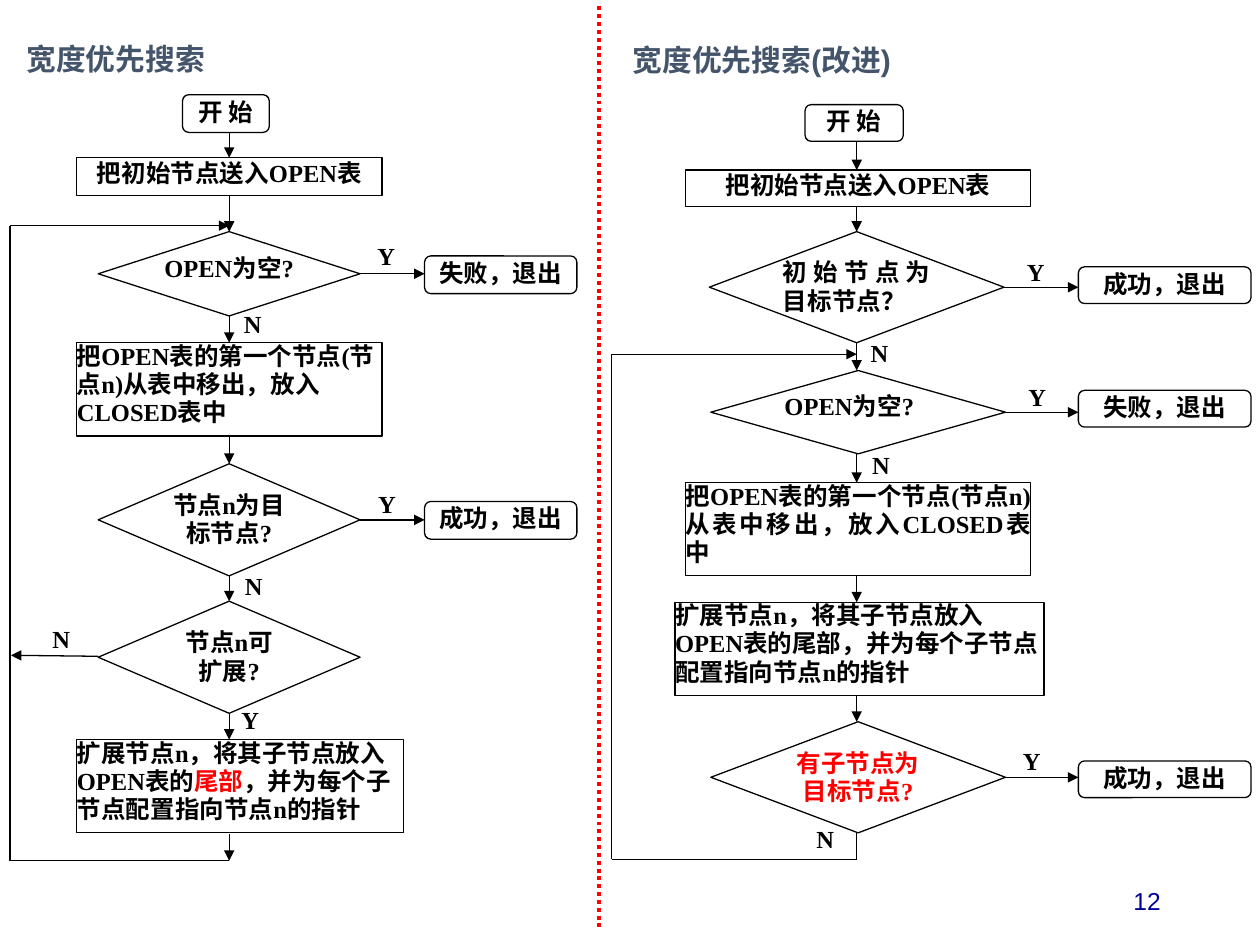
from lxml.etree import SubElement
from pptx import Presentation
from pptx.dml.color import RGBColor
from pptx.enum.dml import MSO_LINE
from pptx.enum.shapes import MSO_CONNECTOR, MSO_SHAPE
from pptx.enum.text import MSO_ANCHOR, MSO_AUTO_SIZE, PP_ALIGN
from pptx.oxml.ns import qn
from pptx.util import Cm, Pt

INK = {"black": "000000", "red": "FF0000", "slate": "44546A", "navy": "000099"}
KIND = {
    "pill": MSO_SHAPE.FLOWCHART_ALTERNATE_PROCESS,
    "round": MSO_SHAPE.ROUNDED_RECTANGLE,
    "box": MSO_SHAPE.RECTANGLE,
    "test": MSO_SHAPE.DIAMOND,
    "choice": MSO_SHAPE.FLOWCHART_DECISION,
}
SIDE = {"l": PP_ALIGN.LEFT, "c": PP_ALIGN.CENTER,
        "r": PP_ALIGN.RIGHT, "j": PP_ALIGN.JUSTIFY}

# Content, in cm. Words between stars are red.
# steps: kind, left, top, width, height, align, text
# exits: index of the step that leads there, kind, top, text
# marks: text, left, top
# wires: points of a path, arrow at its end
LEFT = {
    "axis": 4.62,
    "steps": [
        ("pill", 3.68, 1.91, 1.75, 0.76, "c", "开 始"),
        ("box", 1.55, 3.18, 6.15, 0.76, "c", "把初始节点送入OPEN表"),
        ("test", 1.98, 4.67, 5.28, 1.7, "c", "OPEN为空?"),
        ("box", 1.55, 6.91, 6.15, 1.88, "l",
         "把OPEN表的第一个节点(节点n)从表中移出，放入CLOSED表中"),
        ("test", 1.98, 9.35, 5.28, 2.26, "c", "节点n为目标节点?"),
        ("test", 1.98, 12.12, 5.28, 2.26, "c", "节点n可\n扩展?"),
        ("box", 1.55, 14.91, 6.58, 1.88, "l",
         "扩展节点n，将其子节点放入OPEN表的*尾部*，并为每个子节点配置指向节点n的指针"),
    ],
    "exit": (8.56, 3.07, 0.76),
    "exits": [(2, "pill", 5.16, "失败，退出"), (4, "pill", 10.11, "成功，退出")],
    "mark": (0.43, 0.76, "c"),
    "marks": [("Y", 7.57, 4.85), ("Y", 7.59, 9.86), ("N", 1.02, 12.57),
              ("Y", 4.83, 14.22), ("N", 4.88, 6.22), ("N", 4.9, 11.51)],
    "wires": [
        ([(4.62, 16.81), (4.62, 17.35)], True),
        ([(4.62, 17.35), (0.2, 17.35), (0.2, 4.55), (4.62, 4.55)], True),
        ([(1.98, 13.23), (0.22, 13.21)], True),
    ],
}
RIGHT = {
    "axis": 17.27,
    "steps": [
        ("pill", 16.23, 2.11, 1.98, 0.74, "c", "开 始"),
        ("box", 13.82, 3.43, 6.96, 0.74, "c", "把初始节点送入OPEN表"),
        ("choice", 14.3, 4.67, 5.94, 2.24, "j", "初始节点为目标节点？"),
        ("test", 14.33, 7.47, 5.94, 1.68, "j", "OPEN为空?"),
        ("box", 13.82, 9.73, 6.96, 1.88, "j",
         "把OPEN表的第一个节点(节点n)从表中移出，放入CLOSED表中"),
        ("box", 13.61, 12.14, 7.44, 1.88, "l",
         "扩展节点n，将其子节点放入OPEN表的尾部，并为每个子节点配置指向节点n的指针"),
        ("test", 14.33, 14.55, 5.94, 2.24, "c", "*有子节点为目标节点?*"),
    ],
    "exit": (21.74, 3.48, 0.74),
    "exits": [(2, "round", 5.38, "成功，退出"), (3, "pill", 7.87, "失败，退出"),
              (6, "pill", 15.34, "成功，退出")],
    "mark": (0.49, 0.74, "j"),
    "marks": [("Y", 20.7, 5.18), ("N", 17.55, 6.81), ("Y", 20.73, 7.7),
              ("N", 17.58, 9.07), ("Y", 20.62, 15.04), ("N", 16.46, 16.61)],
    "wires": [
        ([(17.27, 16.79), (17.27, 17.32), (12.33, 17.32),
          (12.33, 7.14), (17.27, 7.14)], True),
    ],
}

deck = Presentation()
deck.slide_width, deck.slide_height = Cm(25.4), Cm(19.05)
slide = deck.slides.add_slide(deck.slide_layouts[5])
shapes = slide.shapes


def place(shape, left, top, width, height):
    shape.left, shape.top = Cm(left), Cm(top)
    shape.width, shape.height = Cm(width), Cm(height)


def write(shape, text, side="c", size=14, face="Times New Roman", ink="black",
          bold=True, pad=(0, 0), mid=False, gap=None):
    frame = shape.text_frame
    frame.word_wrap = True
    frame.auto_size = MSO_AUTO_SIZE.NONE
    frame.margin_left = frame.margin_right = Cm(pad[0])
    frame.margin_top = frame.margin_bottom = Cm(pad[1])
    frame.vertical_anchor = MSO_ANCHOR.MIDDLE if mid else MSO_ANCHOR.TOP
    for row, line in enumerate(text.split("\n")):
        para = frame.add_paragraph() if row else frame.paragraphs[0]
        para.alignment = SIDE[side]
        para.line_spacing = gap
        for turn, part in enumerate(line.split("*")):
            if not part:
                continue
            run = para.add_run()
            run.text = part
            font = run.font
            font.size, font.name, font.bold = Pt(size), face, bold
            font.color.rgb = RGBColor.from_string(INK["red" if turn % 2 else ink])


def node(kind, left, top, width, height, side, text):
    shape = shapes.add_shape(KIND[kind], Cm(left), Cm(top), Cm(width), Cm(height))
    shape.shadow.inherit = False
    shape.fill.background()
    shape.line.color.rgb = RGBColor.from_string(INK["black"])
    shape.line.width = Pt(0.75)
    write(shape, text, side, gap=0.96 if height > 1.8 else None)


def wire(start, end, arrow=False, ink="black", width=0.75):
    line = shapes.add_connector(MSO_CONNECTOR.STRAIGHT, *map(Cm, start + end))
    line.line.color.rgb = RGBColor.from_string(INK[ink])
    line.line.width = Pt(width)
    if arrow:
        SubElement(line.line._get_or_add_ln(), qn("a:tailEnd"), type="triangle")
    SubElement(line._element.spPr, qn("a:effectLst"))
    return line


def label(left, top, width, height, text, side, **style):
    box = shapes.add_textbox(Cm(left), Cm(top), Cm(width), Cm(height))
    write(box, text, side, **style)


def chart(flow):
    steps, axis = flow["steps"], flow["axis"]
    for step in steps:
        node(*step)
    # Arrows down from each step to the next
    for above, below in zip(steps, steps[1:]):
        wire((axis, above[2] + above[4]), (axis, below[2]), True)
    # Exits to the right of the tests
    left, width, height = flow["exit"]
    for index, kind, top, text in flow["exits"]:
        node(kind, left, top, width, height, "c", text)
        _, x, y, w, h, *_ = steps[index]
        wire((x + w, y + h / 2), (left, y + h / 2), True)
    # Loops back
    for points, arrow in flow["wires"]:
        last = len(points) - 2
        for i, (start, end) in enumerate(zip(points, points[1:])):
            wire(start, end, arrow and i == last)
    # Y and N marks
    width, height, side = flow["mark"]
    for text, left, top in flow["marks"]:
        label(left, top, width, height, text, side)


# Titles
head = dict(size=17, face="Arial", ink="slate", pad=(0.25, 0.13), mid=True)
place(shapes.title, 0.28, 0.66, 9.32, 1.14)
write(shapes.title, "宽度优先搜索", "l", gap=0.9, **head)
label(12.5, 0.64, 9.32, 1.14, "宽度优先搜索(改进)", "l", **head)

# Flow charts
for flow in (LEFT, RIGHT):
    chart(flow)

# Divider and page number
wire((12.07, 0.13), (12.07, 18.75), ink="red", width=2.25).line.dash_style = MSO_LINE.ROUND_DOT
label(17.93, 17.65, 5.72, 1.02, "12", "r", face="Arial", ink="navy",
      bold=False, pad=(0.25, 0.13), mid=True)

deck.save("out.pptx")
